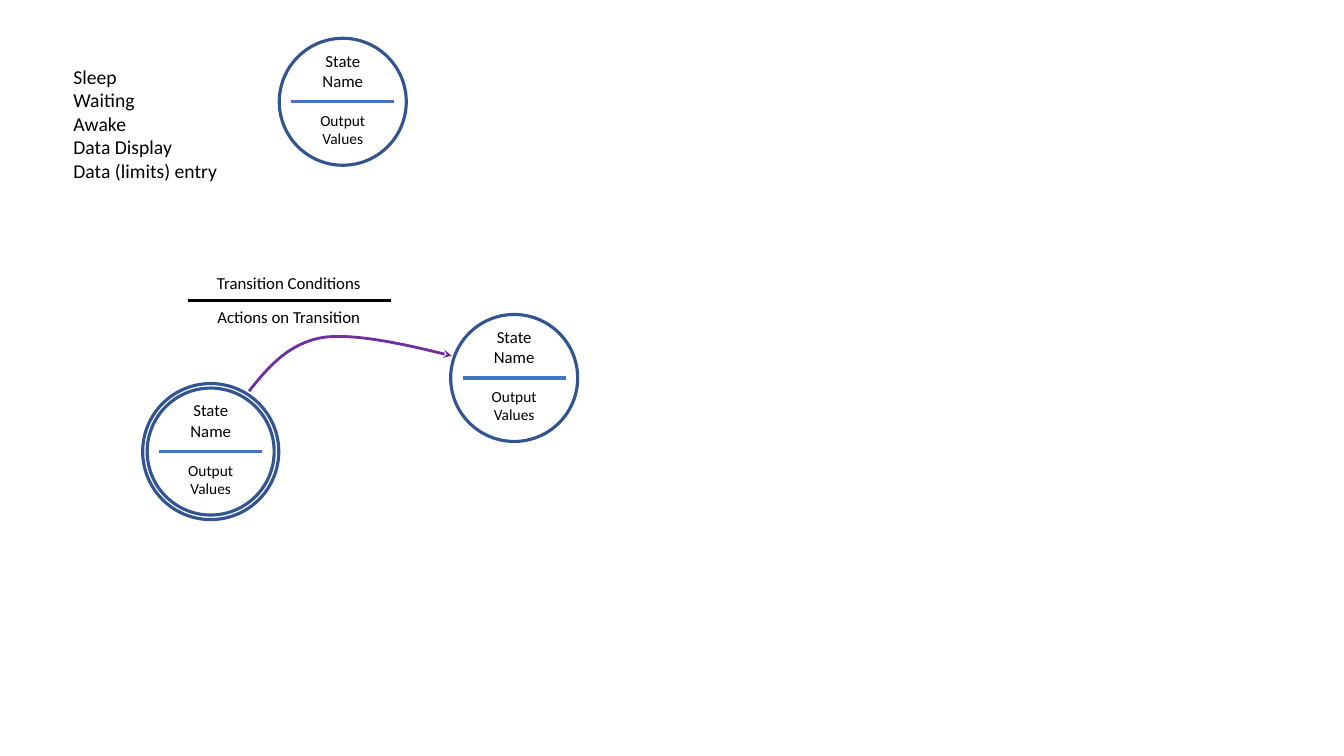
"""Build a state diagram legend slide with states and one transition."""
from dataclasses import dataclass

from lxml import etree
from pptx import Presentation
from pptx.dml.color import RGBColor
from pptx.enum.shapes import MSO_CONNECTOR, MSO_SHAPE
from pptx.enum.text import MSO_AUTO_SIZE, PP_ALIGN
from pptx.oxml.ns import qn
from pptx.util import Inches, Pt

OVAL = MSO_SHAPE.OVAL
STRAIGHT = MSO_CONNECTOR.STRAIGHT
GROW = MSO_AUTO_SIZE.SHAPE_TO_FIT_TEXT
LEFT, CENTER = PP_ALIGN.LEFT, PP_ALIGN.CENTER


@dataclass(frozen=True)
class Theme:
    font: str = "Calibri"
    text: str = "000000"
    ring: str = "325491"
    divider: str = "4472C4"
    transition: str = "7030A0"
    list_size: float = 14
    label_size: float = 12
    output_size: float = 11
    state_width: float = 2.25
    transition_width: float = 2


class Diagram:
    def __init__(self, slide, theme):
        self.slide = slide
        self.theme = theme
        self.shapes = slide.shapes

    def start_group(self):
        self.shapes = self.slide.shapes.add_group_shape().shapes

    def style_line(self, shape, color, width):
        shape.line.color.rgb = RGBColor.from_string(color)
        shape.line.width = Pt(width)

    def text(self, box, lines, size, align=CENTER, insets=(0, 0.04)):
        frame = self.shapes.add_textbox(*map(Inches, box)).text_frame
        side, end = map(Inches, insets)
        settings = {"word_wrap": True, "auto_size": GROW,
                    "margin_left": side, "margin_right": side,
                    "margin_top": end, "margin_bottom": end}
        for name, value in settings.items():
            setattr(frame, name, value)
        frame.text = lines
        for paragraph in frame.paragraphs:
            paragraph.alignment = align
            for run in paragraph.runs:
                for name, value in {"name": self.theme.font, "size": Pt(size)}.items():
                    setattr(run.font, name, value)
                run.font.color.rgb = RGBColor.from_string(self.theme.text)

    def ring(self, x, y, diameter):
        corner = x - diameter / 2, y - diameter / 2
        ring = self.shapes.add_shape(OVAL, *map(Inches, (*corner, diameter, diameter)))
        ring.shadow.inherit = False
        ring.fill.background()
        self.style_line(ring, self.theme.ring, self.theme.state_width)

    def rule(self, left, right, y, color, width):
        rule = self.shapes.add_connector(STRAIGHT, *map(Inches, (left, y, right, y)))
        self.style_line(rule, color, width)
        etree.SubElement(rule.line._get_or_add_ln().getparent(), qn("a:effectLst"))

    def state(self, x, y, initial=False):
        self.start_group()
        self.ring(x, y, 1.26)
        self.rule(x - 0.51, x + 0.51, y, self.theme.divider, self.theme.state_width)
        self.text((x - 0.44, y - 0.55, 0.88, 0.48), "State\vName", self.theme.label_size)
        self.text((x - 0.44, y + 0.05, 0.88, 0.45), "Output\vValues", self.theme.output_size)
        if initial:
            self.ring(x, y, 1.35)

    def curved_arrow(self, start, *points):
        builder = self.slide.shapes.build_freeform(*map(Inches, start))
        builder.add_line_segments([tuple(map(Inches, p)) for p in points], close=False)
        arrow = builder.convert_to_shape()
        segments = list(arrow._element.iter(qn("a:lnTo")))
        for first, second, third in zip(*[iter(segments)] * 3):
            curve = etree.Element(qn("a:cubicBezTo"))
            first.addprevious(curve)
            for segment in (first, second, third):
                curve.append(segment[0])
                segment.getparent().remove(segment)
        arrow.shadow.inherit = False
        arrow.fill.background()
        self.style_line(arrow, self.theme.transition, self.theme.transition_width)
        etree.SubElement(arrow.line._get_or_add_ln(), qn("a:tailEnd"), type="stealth")

    def transition_label(self, x, y, conditions, actions):
        self.start_group()
        for top, wording in ((y - 0.32, conditions), (y + 0.01, actions)):
            self.text((x - 0.92, top, 1.83, 0.3), wording,
                      self.theme.label_size, insets=(0, 0.05))
        self.rule(x - 1.01, x + 1.01, y, self.theme.text, self.theme.transition_width)


presentation = Presentation()
presentation.slide_width = Inches(13.33)
presentation.slide_height = Inches(7.5)
blank_layout = presentation.slide_layouts[6]
diagram = Diagram(presentation.slides.add_slide(blank_layout), Theme())

state_names = ["Sleep", "Waiting", "Awake", "Data Display", "Data (limits) entry"]
diagram.text((0.63, 0.59, 2.1, 1.51), "\n".join(state_names),
             diagram.theme.list_size, LEFT, (0.1, 0.05))
diagram.state(3.4, 1.01)
diagram.state(2.09, 4.48, initial=True)
diagram.state(5.1, 3.75)
diagram.curved_arrow((2.47, 3.88), (2.66, 3.64), (2.86, 3.41), (3.19, 3.35),
                     (3.53, 3.29), (4.48, 3.53), (4.48, 3.53))
diagram.transition_label(2.87, 2.98, "Transition Conditions", "Actions on Transition")

presentation.save("out.pptx")
